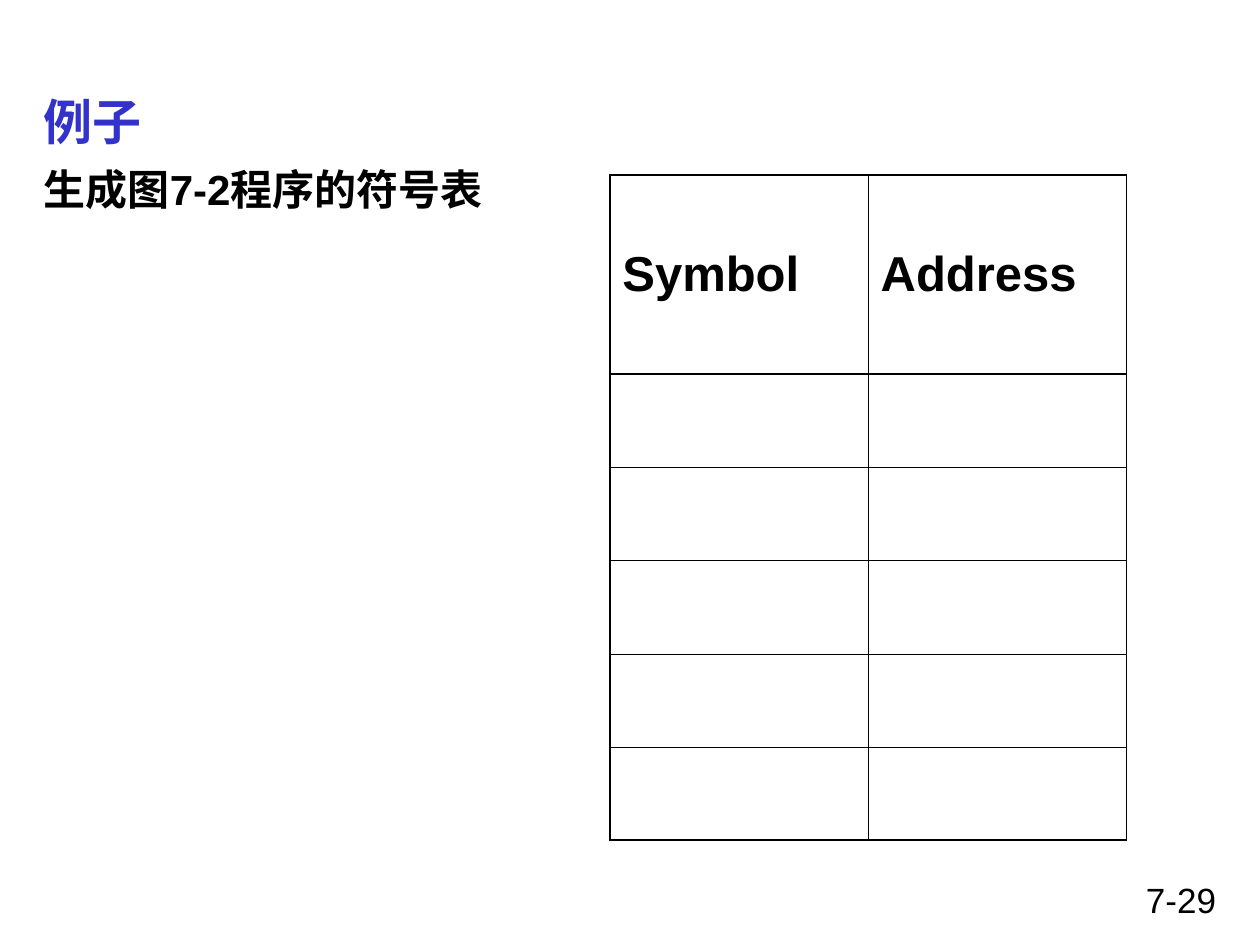
import lxml.etree
import pptx
import pptx.dml.color
import pptx.enum.text
import pptx.oxml.ns
import pptx.util
from pptx.util import Inches

ANCHOR = pptx.enum.text.MSO_ANCHOR
ALIGN = pptx.enum.text.PP_ALIGN


def add_text(tf, text, size, color="000000", bold=False,
             anchor=ANCHOR.TOP, align=ALIGN.LEFT):
    tf.word_wrap = True
    tf.vertical_anchor = anchor
    p = tf.paragraphs[0]
    p.alignment = align
    r = p.add_run()
    r.text = text
    r.font.name = "Arial"
    r.font.size = pptx.util.Pt(size)
    r.font.bold = bold
    r.font.color.rgb = pptx.dml.color.RGBColor.from_string(color)


def set_borders(cell, widths, color="000000"):
    """Draw the left, right, top and bottom borders, widths in points."""
    tcPr = cell._tc.get_or_add_tcPr()
    for i, (side, width) in enumerate(zip("LRTB", widths)):
        ln = lxml.etree.Element(pptx.oxml.ns.qn(f"a:ln{side}"),
                                w=str(int(pptx.util.Pt(width))))
        fill = lxml.etree.SubElement(ln, pptx.oxml.ns.qn("a:solidFill"))
        lxml.etree.SubElement(fill, pptx.oxml.ns.qn("a:srgbClr"), val=color)
        tcPr.insert(i, ln)


prs = pptx.Presentation()
prs.slide_width, prs.slide_height = Inches(10), Inches(7.5)
s = prs.slides.add_slide(prs.slide_layouts[6])

# Title
sp = s.shapes.add_textbox(Inches(0.25), Inches(0.67), Inches(9.5), Inches(0.58))
add_text(sp.text_frame, "例子", 28, color="3333CC", bold=True, anchor=ANCHOR.MIDDLE)

# Body
sp = s.shapes.add_textbox(Inches(0.25), Inches(1.25), Inches(9.5), Inches(5.42))
add_text(sp.text_frame, "生成图7-2程序的符号表", 24, bold=True)

# Page number
sp = s.shapes.add_textbox(Inches(7.17), Inches(6.92), Inches(2.58), Inches(0.42))
add_text(sp.text_frame, "7-29", 20, align=ALIGN.RIGHT)

# Symbol table: a tall header and five empty rows
headers = ["Symbol", "Address"]
row_heights = [1.58] + [0.74] * 5
thick, thin = 1.08, 0.45
last = len(row_heights) - 1
table = s.shapes.add_table(len(row_heights), len(headers), Inches(4.84), Inches(1.39),
                           Inches(4.1), Inches(sum(row_heights))).table
table.first_row = table.horz_banding = False
for col in table.columns:
    col.width = Inches(2.05)
for i, height in enumerate(row_heights):
    table.rows[i].height = Inches(height)
    for j, header in enumerate(headers):
        cell = table.cell(i, j)
        cell.fill.background()
        set_borders(cell, [thick if j == 0 else thin,
                           thick if j == 1 else thin,
                           thick if i <= 1 else thin,
                           thick if i in (0, last) else thin])
        if i == 0:
            add_text(cell.text_frame, header, 28, bold=True)
            cell.vertical_anchor = ANCHOR.MIDDLE

prs.save("out.pptx")
